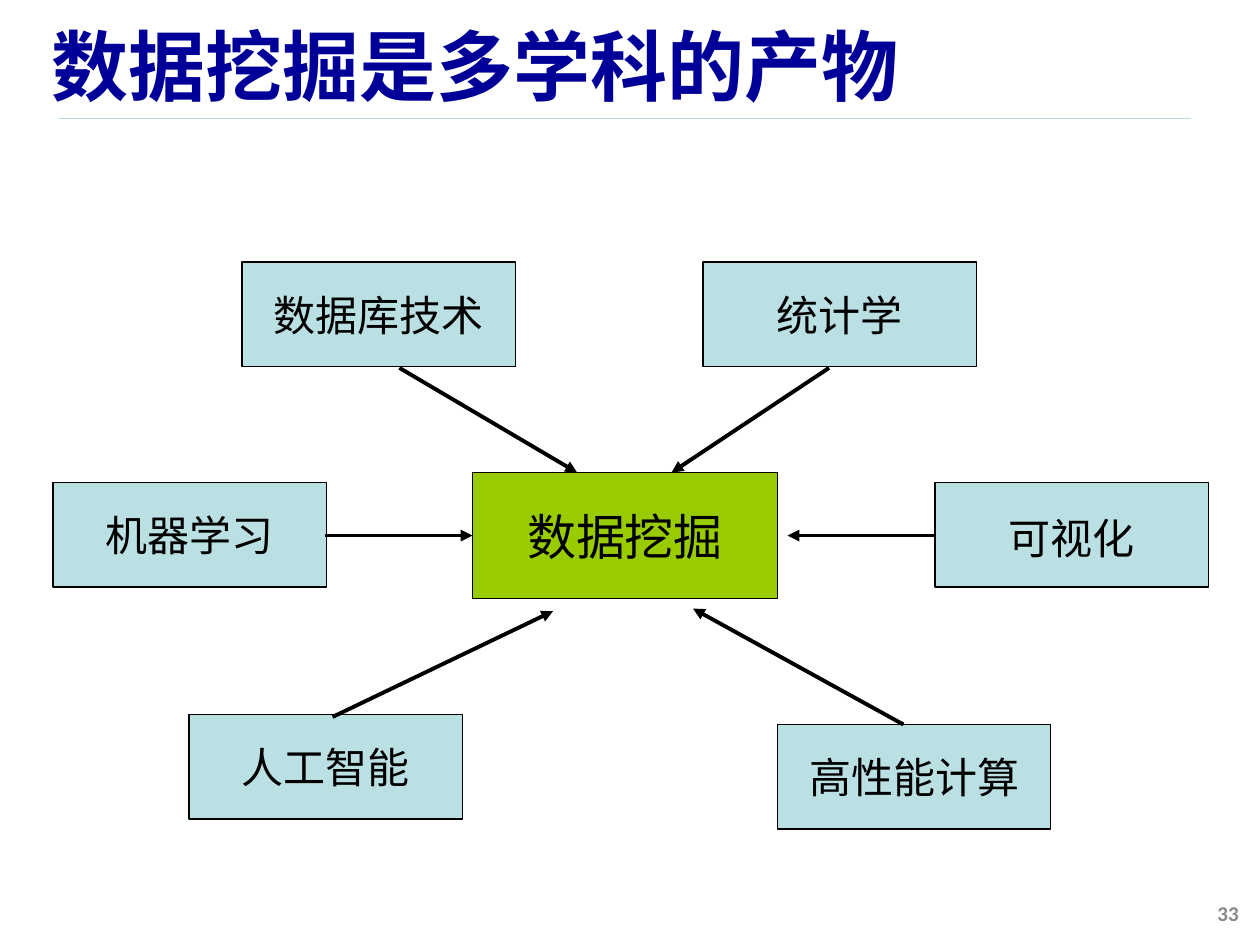
from lxml import etree
from pptx import Presentation
from pptx.dml.color import RGBColor
from pptx.enum.shapes import MSO_CONNECTOR, MSO_SHAPE
from pptx.enum.text import MSO_ANCHOR, PP_ALIGN
from pptx.oxml.ns import qn
from pptx.util import Inches, Pt

BLACK = RGBColor(0x00, 0x00, 0x00)
NAVY = RGBColor(0x00, 0x00, 0x99)
GRAY = RGBColor(0x89, 0x89, 0x89)
GREEN = RGBColor(0x99, 0xCC, 0x00)
PALE_BLUE = RGBColor(0xBB, 0xE0, 0xE3)
RULE_BLUE = RGBColor(0xB6, 0xDC, 0xDF)


class Canvas:
    """Draws styled boxes, lines and text on one slide."""

    def __init__(self, slide):
        self.shapes = slide.shapes

    def label(self, shape, text, size, font, color, align, bold=False, wrap=True):
        frame = shape.text_frame
        frame.word_wrap = wrap
        frame.vertical_anchor = MSO_ANCHOR.MIDDLE
        paragraph = frame.paragraphs[0]
        paragraph.alignment = align
        run = paragraph.add_run()
        run.text = text
        run.font.size = Pt(size)
        run.font.name = font
        run.font.bold = bold
        run.font.color.rgb = color
        east_asian = etree.SubElement(run.font._element, qn("a:ea"))
        east_asian.set("typeface", font)
        return paragraph

    def text(self, bounds, text, size, font, color, align):
        box = self.shapes.add_textbox(*map(Inches, bounds))
        self.label(box, text, size, font, color, align, bold=True)

    def box(self, bounds, text, fill, size, font="Roboto"):
        shape = self.shapes.add_shape(MSO_SHAPE.RECTANGLE, *map(Inches, bounds))
        shape.shadow.inherit = False
        shape.fill.solid()
        shape.fill.fore_color.rgb = fill
        shape.line.color.rgb = BLACK
        shape.line.width = Pt(0.75)
        return self.label(shape, text, size, font, BLACK, PP_ALIGN.CENTER, wrap=False)

    def line(self, start, end, color, width, arrow=False):
        connector = self.shapes.add_connector(
            MSO_CONNECTOR.STRAIGHT, *map(Inches, (*start, *end)))
        connector.line.color.rgb = color
        connector.line.width = Pt(width)
        properties = connector._element.spPr
        if arrow:
            head = etree.SubElement(properties.find(qn("a:ln")), qn("a:tailEnd"))
            head.set("type", "triangle")
        etree.SubElement(properties, qn("a:effectLst"))


FIELD_SIZE = (2.17, 0.83)
FIELDS = [
    ("数据库技术", (1.92, 2.08), "Roboto"),
    ("统计学", (5.58, 2.08), "Roboto"),
    ("高性能计算", (6.17, 5.75), "Arial"),
    ("人工智能", (1.5, 5.67), "Roboto"),
    ("机器学习", (0.42, 3.83), "Roboto"),
    ("可视化", (7.42, 3.83), "Roboto"),
]
ARROWS = [
    ((2.58, 4.25), (3.75, 4.25)),
    ((3.17, 2.92), (4.58, 3.75)),
    ((6.58, 2.92), (5.33, 3.75)),
    ((7.42, 4.25), (6.25, 4.25)),
    ((7.17, 5.75), (5.5, 4.83)),
    ((2.64, 5.69), (4.39, 4.85)),
]

presentation = Presentation()
presentation.slide_width = Inches(10)
presentation.slide_height = Inches(7.5)
canvas = Canvas(presentation.slides.add_slide(presentation.slide_layouts[6]))

canvas.line((0.47, 0.94), (9.45, 0.94), RULE_BLUE, 0.75)
canvas.box((3.75, 3.75, 2.42, 1), "数据挖掘", GREEN, 28)
for name, corner, font in FIELDS:
    paragraph = canvas.box((*corner, *FIELD_SIZE), name, PALE_BLUE, 24, font)
    if name == "可视化":
        paragraph.line_spacing = 1.1
for start, end in ARROWS:
    canvas.line(start, end, BLACK, 2.25, arrow=True)

canvas.text((0.31, 0.08, 9.14, 0.87), "数据挖掘是多学科的产物", 44, "Arial", NAVY, PP_ALIGN.LEFT)
canvas.text((7.6, 7.05, 2.33, 0.4), "33", 12, "Calibri", GRAY, PP_ALIGN.RIGHT)

presentation.save("out.pptx")
